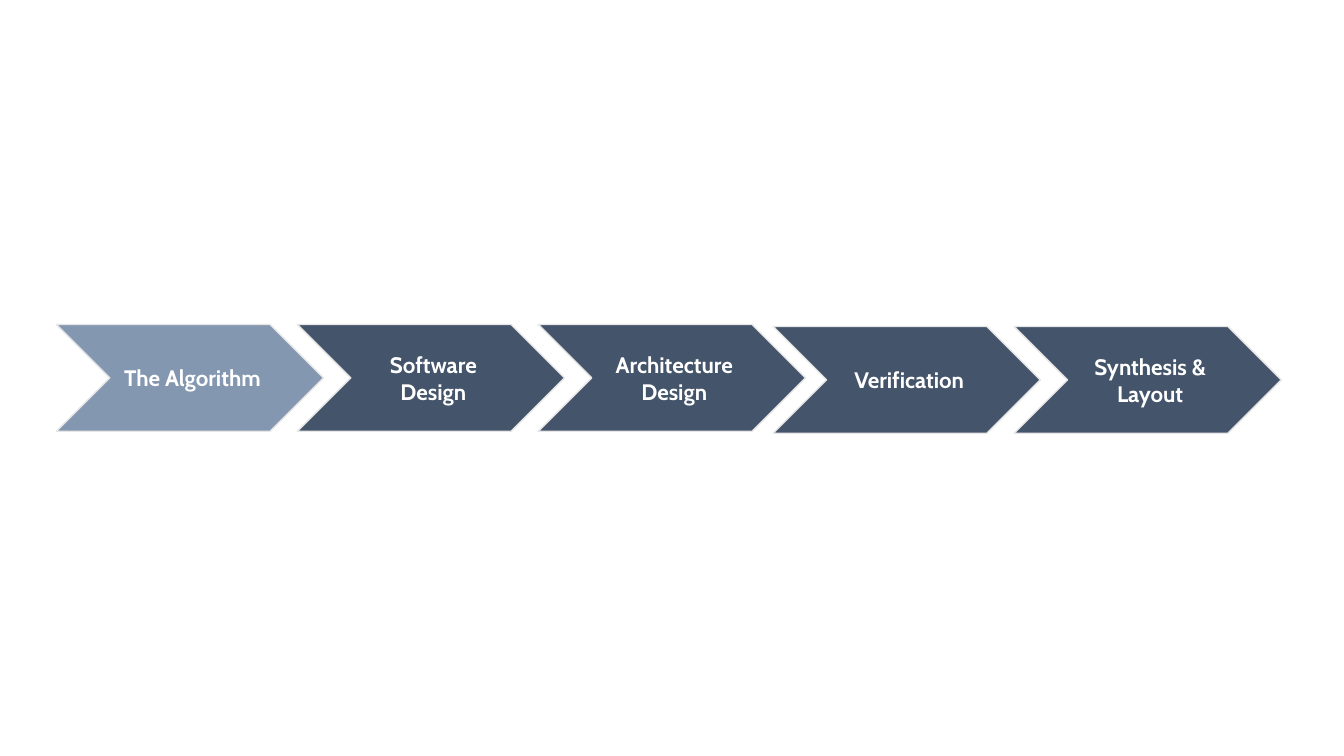
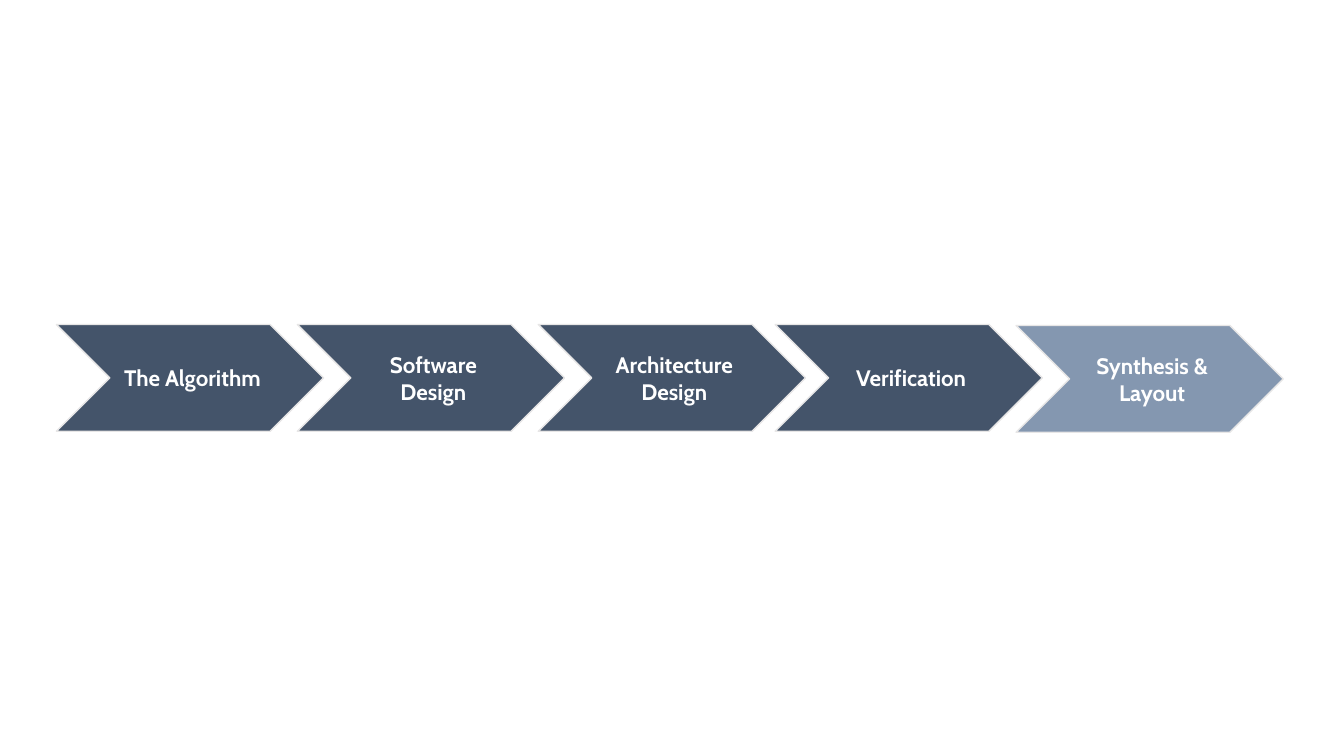
from dataclasses import dataclass

from pptx import Presentation
from pptx.dml.color import RGBColor
from pptx.enum.shapes import MSO_SHAPE
from pptx.enum.text import MSO_ANCHOR, PP_ALIGN
from pptx.util import Pt


@dataclass(frozen=True)
class Theme:
    current: RGBColor = RGBColor(0x84, 0x97, 0xB0)
    other: RGBColor = RGBColor(0x44, 0x54, 0x6A)
    outline: RGBColor = RGBColor(0xE7, 0xE6, 0xE6)
    label: RGBColor = RGBColor(0xFF, 0xFF, 0xFF)
    font: str = "Cabin"
    label_size: int = 16


# Flow grid, in points
FLOW_LEFT, FLOW_TOP = 40.3, 231.8
STEP_WIDTH, STEP_HEIGHT = 190.8, 76.3
STEP_PITCH = 172.1

STAGES = ("The Algorithm", "Software Design", "Architecture Design",
          "Verification", "Synthesis & Layout")


def apply_format(target, values):
    for name, value in values.items():
        setattr(target, name, value)


class Deck:
    def __init__(self, theme):
        self.theme = theme
        self.presentation = Presentation()
        apply_format(self.presentation,
                     {"slide_width": Pt(960), "slide_height": Pt(540)})
        self.slide = None

    def add_slide(self):
        blank_layout = self.presentation.slide_layouts[6]
        self.slide = self.presentation.slides.add_slide(blank_layout)

    def stage(self, label, left, top, is_current):
        theme = self.theme
        chevron = self.slide.shapes.add_shape(
            MSO_SHAPE.CHEVRON, Pt(left), Pt(top), Pt(STEP_WIDTH), Pt(STEP_HEIGHT))
        chevron.shadow.inherit = False
        chevron.fill.solid()
        chevron.fill.fore_color.rgb = theme.current if is_current else theme.other
        chevron.line.color.rgb = theme.outline
        chevron.line.width = Pt(1)

        # Label inside the chevron
        frame = chevron.text_frame
        apply_format(frame, {
            "text": label, "word_wrap": True, "vertical_anchor": MSO_ANCHOR.MIDDLE,
            "margin_left": Pt(5), "margin_right": Pt(1.5),
            "margin_top": Pt(1.5), "margin_bottom": Pt(1.5)})
        paragraph = frame.paragraphs[0]
        paragraph.alignment = PP_ALIGN.CENTER
        font = paragraph.runs[0].font
        apply_format(font, {"name": theme.font, "size": Pt(theme.label_size),
                            "bold": True})
        font.color.rgb = theme.label

    def flow(self, current, nudges):
        """Draw all stages; nudges maps a stage to its (x, y) offset."""
        for index, label in enumerate(STAGES):
            shift_x, shift_y = nudges.get(label, (0, 0))
            self.stage(label, FLOW_LEFT + index * STEP_PITCH + shift_x,
                       FLOW_TOP + shift_y, label == current)


def main():
    deck = Deck(Theme())

    # Slide 1: the algorithm is the current stage
    deck.add_slide()
    deck.flow("The Algorithm", {"Verification": (-4.3, 1.4),
                                "Synthesis & Layout": (-4.3, 1.4)})

    # Slide 2: synthesis and layout is the current stage
    deck.add_slide()
    deck.flow("Synthesis & Layout", {"Verification": (-2.9, 0),
                                     "Synthesis & Layout": (-2.9, 0.7)})

    deck.presentation.save("out.pptx")


if __name__ == "__main__":
    main()
